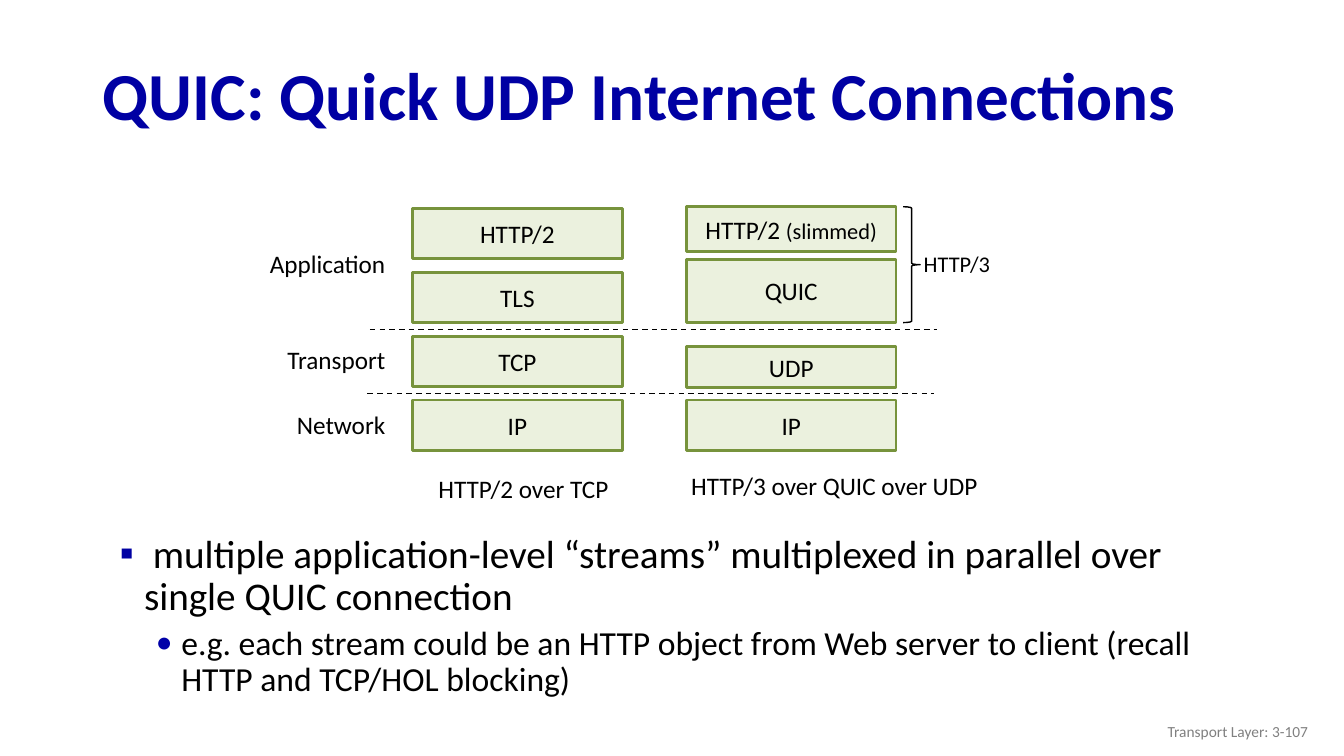
from lxml.etree import SubElement
from pptx import Presentation
from pptx.dml.color import RGBColor
from pptx.enum.dml import MSO_LINE
from pptx.enum.shapes import MSO_CONNECTOR, MSO_SHAPE
from pptx.enum.text import MSO_ANCHOR as Anchor, PP_ALIGN as Align
from pptx.oxml.ns import qn
from pptx.util import Cm, Pt

FONT = "Calibri"
COLORS = {
    "title": "0000A3", "sub_bullet": "0000A8", "text": "000000",
    "footer": "808080", "layer_fill": "EBF1DE", "layer_line": "77933C",
}


def rgb(name):
    return RGBColor.from_string(COLORS[name])


def add_run(paragraph, text, size, color="text", bold=False):
    run = paragraph.add_run()
    run.text = text
    run.font.name = FONT
    run.font.size = Pt(size)
    run.font.bold = bold
    run.font.color.rgb = rgb(color)


def add_text(slide, box, text, size, align=Align.LEFT, color="text",
             bold=False, wrap=True):
    frame = slide.shapes.add_textbox(*map(Cm, box)).text_frame
    frame.word_wrap = wrap
    frame.vertical_anchor = Anchor.MIDDLE
    paragraph = frame.paragraphs[0]
    paragraph.alignment = align
    add_run(paragraph, text, size, color, bold)
    return paragraph


def add_title(slide, box):
    title = add_text(slide, box, "QUIC: Quick UDP Internet Connections", 48,
                     color="title", bold=True)
    title.line_spacing = 0.9


def add_layer(slide, box, runs):
    layer = slide.shapes.add_shape(MSO_SHAPE.RECTANGLE, *map(Cm, box))
    layer.shadow.inherit = False
    layer.fill.solid()
    layer.fill.fore_color.rgb = rgb("layer_fill")
    layer.line.color.rgb = rgb("layer_line")
    layer.line.width = Pt(2)
    frame = layer.text_frame
    frame.margin_left = frame.margin_right = 0
    frame.margin_top = frame.margin_bottom = 0
    frame.vertical_anchor = Anchor.MIDDLE
    frame.paragraphs[0].alignment = Align.CENTER
    for text, size in runs:
        add_run(frame.paragraphs[0], text, size)


def add_stack(slide, left, top, layers):
    """Layers are (offset from top, height, runs)."""
    for offset, height, runs in layers:
        add_layer(slide, (left, top + offset, 5.28, height), runs)


def add_divider(slide, left, top):
    divider = slide.shapes.add_connector(
        MSO_CONNECTOR.STRAIGHT, Cm(left), Cm(top), Cm(left + 14.29), Cm(top))
    divider.line.color.rgb = rgb("text")
    divider.line.width = Pt(1)
    divider.line.dash_style = MSO_LINE.DASH
    SubElement(divider.line._get_or_add_ln().getparent(), qn("a:effectLst"))


def add_http3_brace(slide, left, top):
    brace = slide.shapes.add_shape(
        MSO_SHAPE.RIGHT_BRACE, Cm(left), Cm(top), Cm(0.43), Cm(2.92))
    brace.shadow.inherit = False
    brace.fill.background()
    brace.line.color.rgb = rgb("text")
    brace.line.width = Pt(1)
    add_text(slide, (left - 0.05, top + 0.96, 2.49, 0.94), "HTTP/3", 16,
             Align.RIGHT)


def add_stack_diagram(slide, left, top):
    # Protocol stacks
    add_stack(slide, left + 4.3, top, [
        (0.04 + 1.61 * row, 1.27, [(protocol, 18)])
        for row, protocol in enumerate(["HTTP/2", "TLS", "TCP", "IP"])])
    add_stack(slide, left + 11.2, top, [
        (0, 1.12, [("HTTP/2 ", 18), ("(slimmed)", 16)]),
        (1.32, 1.6, [("QUIC", 18)]),
        (3.53, 1.02, [("UDP", 18)]),
        (4.87, 1.27, [("IP", 18)])])

    # Layer boundaries and names
    add_divider(slide, left + 3.22, top + 3.1)
    add_divider(slide, left + 3.16, top + 4.7)
    for name, offset in [("Application", 0.91), ("Transport", 3.35),
                         ("Network", 4.98)]:
        add_text(slide, (left, top + offset, 3.86, 1.02), name, 18,
                 Align.RIGHT)

    # Captions and HTTP/3 bracket
    for caption, x, y, width in [
            ("HTTP/2 over TCP", 4.7, 6.6, 4.9),
            ("HTTP/3 over QUIC over UDP", 11.07, 6.52, 7.85)]:
        add_text(slide, (left + x, top + y, width, 1.02), caption, 18,
                 wrap=False)
    add_http3_brace(slide, left + 16.66, top)


def add_bullet(paragraph, mark, color, indent, hanging):
    props = paragraph._p.get_or_add_pPr()
    props.set("marL", str(Cm(indent)))
    props.set("indent", str(-Cm(hanging)))
    bullet_color = SubElement(props, qn("a:buClr"))
    SubElement(bullet_color, qn("a:srgbClr"), val=COLORS[color])
    SubElement(props, qn("a:buFont"), typeface=FONT)
    SubElement(props, qn("a:buChar"), char=mark)


def add_stream_points(slide, box):
    frame = slide.shapes.add_textbox(*map(Cm, box)).text_frame
    frame.word_wrap = True

    streams = frame.paragraphs[0]
    add_bullet(streams, "▪", "title", 0.99, 0.61)
    streams.line_spacing = 0.9
    add_run(streams, " multiple application-level “streams” multiplexed in "
            "parallel over single QUIC connection", 28)

    example = frame.add_paragraph()
    example.level = 1
    add_bullet(example, "•", "sub_bullet", 1.93, 0.64)
    example.line_spacing = 0.9
    example.space_before = Pt(5)
    add_run(example, "e.g. each stream could be an HTTP object from Web "
            "server to client (recall HTTP and TCP/HOL blocking)", 24)


def add_footer(slide, box):
    add_text(slide, box, "Transport Layer: 3-107", 11, Align.RIGHT, "footer")


def main():
    deck = Presentation()
    deck.slide_width, deck.slide_height = Cm(33.87), Cm(19.05)
    slide = deck.slides.add_slide(deck.slide_layouts[6])
    add_title(slide, (2.34, 1.24, 29.21, 2.49))
    add_stack_diagram(slide, 6.1, 5.21)
    add_stream_points(slide, (2.39, 13.34, 29.59, 5.6))
    add_footer(slide, (25.6, 17.91, 7.62, 1.02))
    deck.save("out.pptx")


if __name__ == "__main__":
    main()
